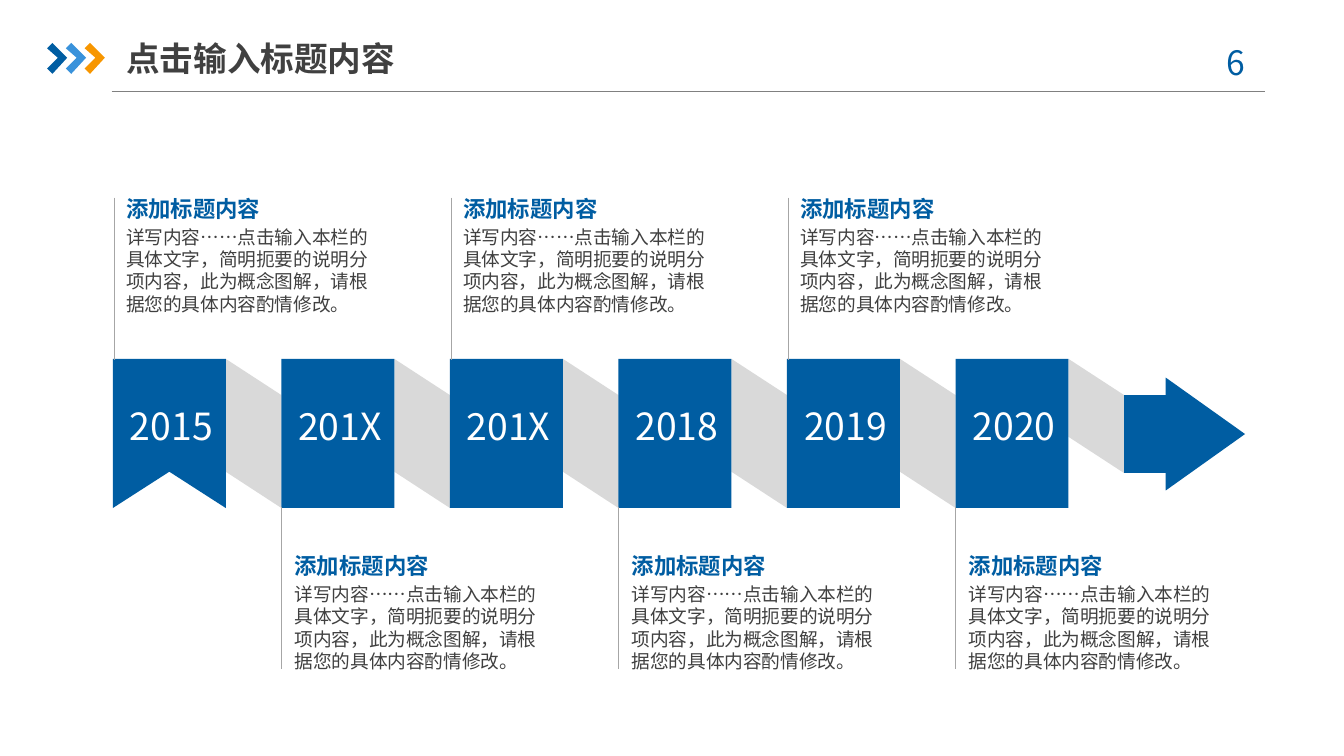
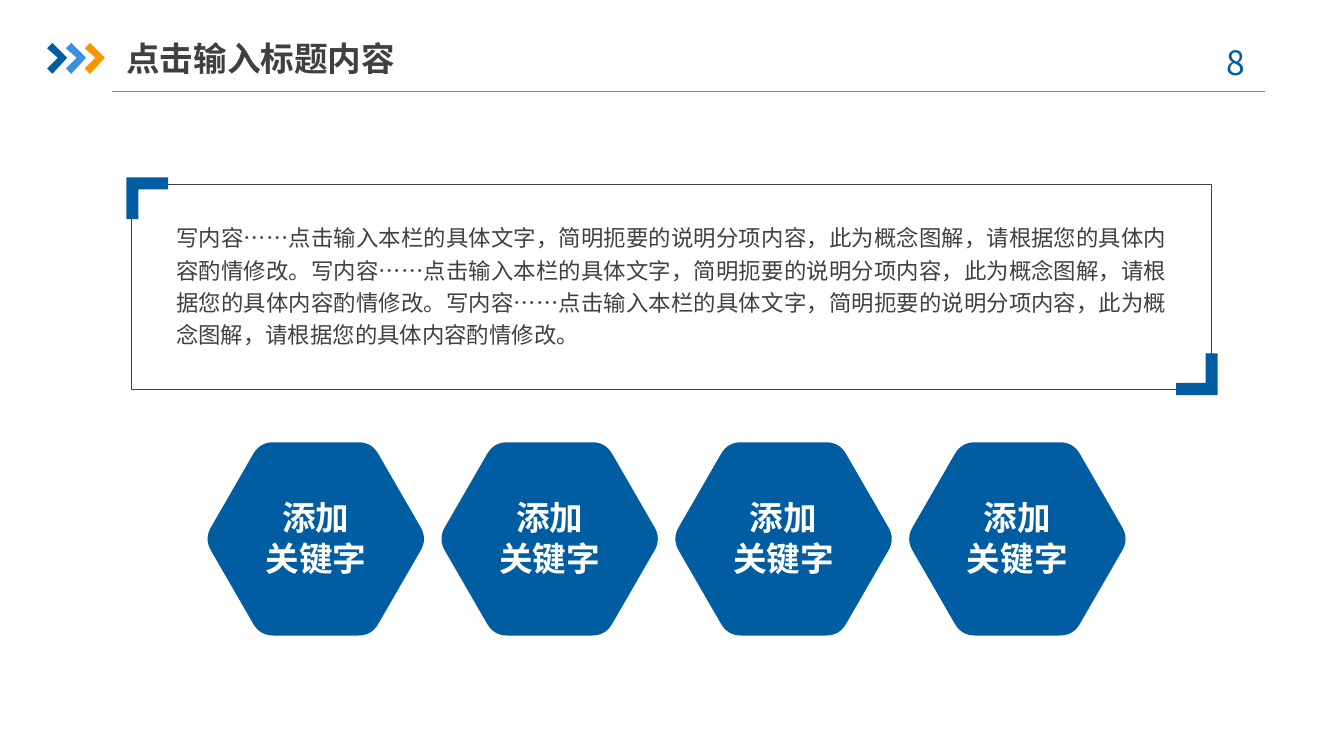
import math

import pptx
import pptx.dml.color
import pptx.enum.lang
import pptx.enum.shapes
import pptx.enum.text
import pptx.oxml
import pptx.oxml.ns
import pptx.util
from pptx.util import Inches

FONT = "Noto Sans CJK SC"
BLUE, LIGHT_BLUE, ORANGE = "005DA2", "3992DB", "F79600"
DARK, GREY, STEM_GREY, FOLD_GREY, WHITE = "404040", "808080", "A6A6A6", "D9D9D9", "FFFFFF"
ALIGN = pptx.enum.text.PP_ALIGN
ANCHOR = pptx.enum.text.MSO_ANCHOR

TITLE = "点击输入标题内容"
DETAIL = "写内容……点击输入本栏的具体文字，简明扼要的说明分项内容，此为概念图解，请根据您的具体内容酌情修改。"
YEARS = ["2015", "201X", "201X", "2018", "2019", "2020"]

# Timeline geometry
FIRST_X, LAST_X = 0.84, 7.11
STEP = (LAST_X - FIRST_X) / (len(YEARS) - 1)
BLOCK_WIDTH, BLOCK_TOP, BLOCK_HEIGHT = 0.84, 2.67, 1.11
BLOCK_BOTTOM = BLOCK_TOP + BLOCK_HEIGHT
FOLD_DROP = 0.27


def color(value):
    return pptx.dml.color.RGBColor.from_string(value)


def paint(shape, fill):
    shape.shadow.inherit = False
    shape.fill.solid()
    shape.fill.fore_color.rgb = color(fill)
    shape.line.fill.background()
    return shape


def format_para(para, size, hue, bold=False, align=ALIGN.LEFT):
    para.alignment = align
    for span in para.runs:
        span.font.name = FONT
        span.font.size = pptx.util.Pt(size)
        span.font.bold = bold
        span.font.color.rgb = color(hue)
        span.font.language_id = pptx.enum.lang.MSO_LANGUAGE_ID.SIMPLIFIED_CHINESE
        east_asian = pptx.oxml.parse_xml(
            f'<a:ea {pptx.oxml.ns.nsdecls("a")} typeface="{FONT}"/>')
        span._r.get_or_add_rPr().append(east_asian)


def set_margins(frame, horizontal, vertical):
    frame.margin_left = frame.margin_right = Inches(horizontal)
    frame.margin_top = frame.margin_bottom = Inches(vertical)


def add_text(page, text, left, top, width, height):
    box = page.shapes.add_textbox(*map(Inches, (left, top, width, height)))
    box.text_frame.word_wrap = True
    box.text_frame.text = text
    return box.text_frame


def add_outline(page, points, fill):
    """Draw a closed, filled polygon through points given in inches."""
    start, *others = [(Inches(x), Inches(y)) for x, y in points]
    builder = page.shapes.build_freeform(*start)
    builder.add_line_segments(others, close=True)
    return paint(builder.convert_to_shape(), fill)


def add_line(page, x1, y1, x2, y2, hue):
    line = page.shapes.add_connector(
        pptx.enum.shapes.MSO_CONNECTOR.STRAIGHT, *map(Inches, (x1, y1, x2, y2)))
    line.line.color.rgb = color(hue)
    line.line.width = pptx.util.Pt(0.75)
    line._element.spPr.append(
        pptx.oxml.parse_xml(f'<a:effectLst {pptx.oxml.ns.nsdecls("a")}/>'))
    return line


def add_chevron(page, left, fill):
    points = [(0, 0.36), (0.04, 0.32), (0.15, 0.43),
              (0.04, 0.55), (0, 0.51), (0.08, 0.43)]
    return add_outline(page, [(left + x, y) for x, y in points], fill)


def move_header_to_layout(page):
    """Draw the header band once and hang it on the layout of the page."""
    band = [add_line(page, 0.83, 0.68, 9.41, 0.68, GREY)]
    for index, hue in enumerate([BLUE, LIGHT_BLUE, ORANGE]):
        band.append(add_chevron(page, 0.35 + 0.14 * index, hue))
    for shape in band:
        page.slide_layout.shapes.element.append(shape._element)


def add_title(page, number):
    title = page.shapes.title
    title.left, title.top, title.width, title.height = map(Inches, (0.94, 0.22, 2.33, 0.42))
    frame = title.text_frame
    frame.text = TITLE
    frame.auto_size = pptx.enum.text.MSO_AUTO_SIZE.NONE
    frame.vertical_anchor = ANCHOR.MIDDLE
    set_margins(frame, 0, 0.05)
    format_para(frame.paragraphs[0], 18, DARK, bold=True)
    number_frame = add_text(page, f"{number} ", 8.86, 0.26, 0.73, 0.4)
    format_para(number_frame.paragraphs[0], 18, BLUE, align=ALIGN.CENTER)


def add_fold(page, left, right_bottom, left_bottom):
    right = left + STEP - BLOCK_WIDTH
    add_outline(page, [(left, BLOCK_TOP), (right, BLOCK_TOP + FOLD_DROP),
                       (right, right_bottom), (left, left_bottom)], FOLD_GREY)


def add_year(page, year, left, notched):
    if notched:
        right = left + BLOCK_WIDTH
        add_outline(page, [(left, BLOCK_TOP), (right, BLOCK_TOP), (right, BLOCK_BOTTOM),
                           (left + BLOCK_WIDTH / 2, BLOCK_BOTTOM - FOLD_DROP),
                           (left, BLOCK_BOTTOM)], BLUE)
    else:
        paint(page.shapes.add_shape(
            pptx.enum.shapes.MSO_SHAPE.RECTANGLE,
            *map(Inches, (left, BLOCK_TOP, BLOCK_WIDTH, BLOCK_HEIGHT))), BLUE)
    frame = add_text(page, year, left - 0.09, 2.8, 1.05, 0.74)
    frame.vertical_anchor = ANCHOR.MIDDLE
    format_para(frame.paragraphs[0], 20, WHITE, align=ALIGN.CENTER)


def add_note(page, left, text_top, stem_left, stem_top):
    frame = add_text(page, f"添加标题内容\n详{DETAIL}", left, text_top, 2.1, 1.02)
    heading, detail = frame.paragraphs
    format_para(heading, 12, BLUE, bold=True)
    format_para(detail, 10, DARK)
    detail.space_before = pptx.util.Pt(2)
    add_line(page, stem_left, stem_top, stem_left, stem_top + 1.21, STEM_GREY)


def add_arrow(page, left):
    shoulder, tip = left + 0.31, left + 0.9
    add_outline(page, [(left, 2.94), (shoulder, 2.94), (shoulder, 2.81), (tip, 3.23),
                       (shoulder, 3.65), (shoulder, 3.52), (left, 3.52)], BLUE)


def build_timeline(page):
    lefts = [FIRST_X + STEP * index for index in range(len(YEARS))]
    for left in lefts[:-1]:
        add_fold(page, left + BLOCK_WIDTH, BLOCK_BOTTOM, BLOCK_BOTTOM - FOLD_DROP)
    add_fold(page, LAST_X + BLOCK_WIDTH, 3.52, 3.25)
    add_arrow(page, LAST_X + STEP)
    for index, (year, left) in enumerate(zip(YEARS, lefts)):
        add_year(page, year, left, notched=index == 0)
    for left in lefts[1::2]:
        add_note(page, left, 4.06, left, 3.77)
    for left in lefts[::2]:
        add_note(page, left, 1.4, left + 0.01, 1.47)


def add_corner(page, x, y, direction):
    """Draw an L-shaped bracket whose arms run in the given direction (1 or -1)."""
    arm, thick = 0.31, 0.09
    points = [(0, 0), (arm, 0), (arm, thick), (thick, thick), (thick, arm), (0, arm)]
    add_outline(page, [(x + direction * dx, y + direction * dy) for dx, dy in points], BLUE)


def add_framed_text(page):
    border = page.shapes.add_shape(pptx.enum.shapes.MSO_SHAPE.RECTANGLE,
                                   *map(Inches, (0.98, 1.37, 8.03, 1.53)))
    border.shadow.inherit = False
    border.fill.background()
    border.line.color.rgb = color(DARK)
    border.line.width = pptx.util.Pt(0.25)
    frame = add_text(page, DETAIL * 3, 1.31, 1.63, 7.38, 0.95)
    set_margins(frame, 0, 0)
    format_para(frame.paragraphs[0], 12, DARK, align=ALIGN.JUSTIFY)
    frame.paragraphs[0].line_spacing = 1.2
    add_corner(page, 0.94, 1.32, 1)
    add_corner(page, 9.06, 2.94, -1)


def rounded_hexagon(center_x, center_y, radius, cut, steps=8):
    """Return the points of a hexagon whose corners are quadratic curves."""
    corners = [(center_x + radius * math.cos(math.pi * side / 3),
                center_y + radius * math.sin(math.pi * side / 3)) for side in range(6)]
    share = cut / radius
    points = []
    for index, corner in enumerate(corners):
        before, after = corners[index - 1], corners[(index + 1) % 6]
        for step in range(steps + 1):
            t = step / steps
            back, ahead = share * (1 - t) ** 2, share * t ** 2
            points.append(tuple(c + back * (b - c) + ahead * (a - c)
                                for c, b, a in zip(corner, before, after)))
    return points


def add_keyword(page, center_x, center_y):
    add_outline(page, rounded_hexagon(center_x, center_y, 0.83, 0.1), BLUE)
    frame = add_text(page, "添加\n关键字", center_x - 0.53, center_y - 0.31, 1.06, 0.61)
    set_margins(frame, 0, 0)
    for para in frame.paragraphs:
        format_para(para, 18, WHITE, bold=True, align=ALIGN.CENTER)


def build_keywords(page):
    add_framed_text(page)
    for index in range(4):
        add_keyword(page, 2.35 + 1.74 * index, 4.01)


def main():
    deck = pptx.Presentation()
    deck.slide_width = Inches(10)
    deck.slide_height = deck.slide_width * 9 // 16
    title_only = deck.slide_layouts[5]
    timeline, keywords = [deck.slides.add_slide(title_only) for _ in range(2)]
    move_header_to_layout(timeline)
    add_title(timeline, 6)
    build_timeline(timeline)
    add_title(keywords, 8)
    build_keywords(keywords)
    deck.save("out.pptx")


if __name__ == "__main__":
    main()
